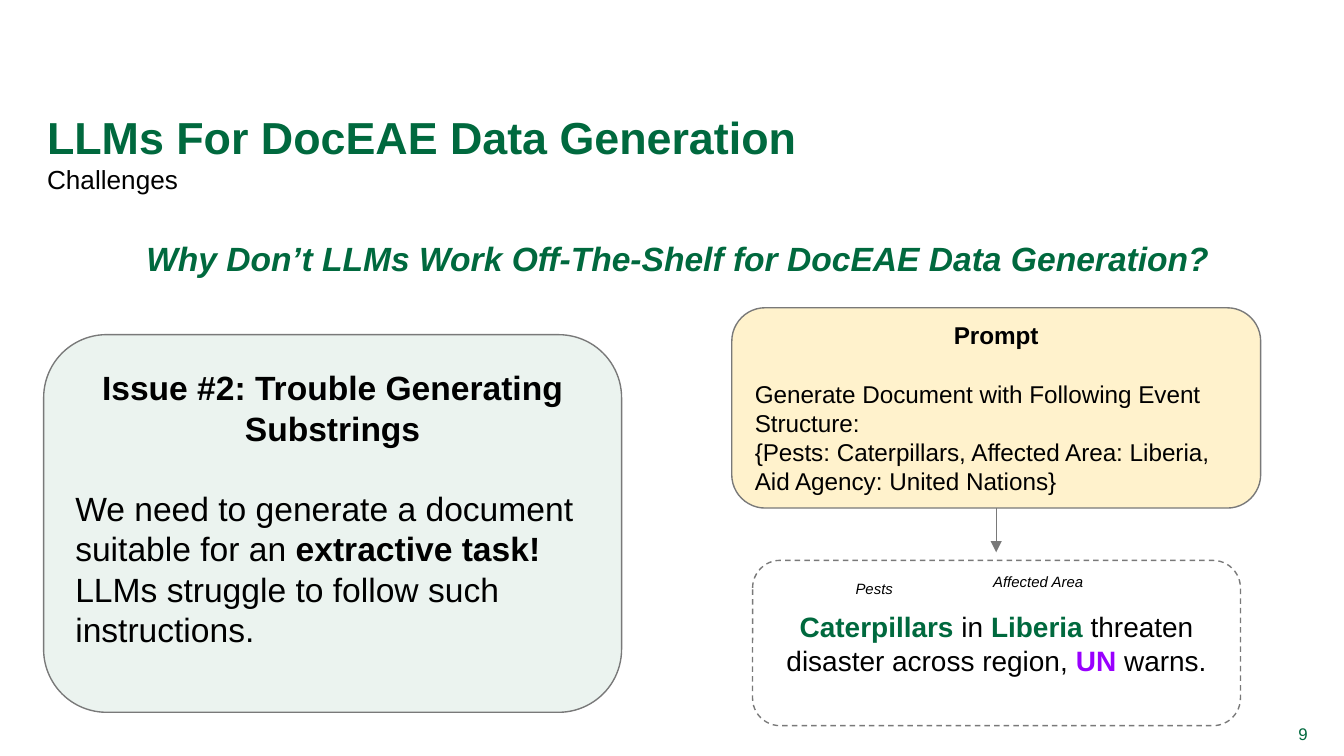
from dataclasses import dataclass

from lxml.etree import SubElement
from pptx import Presentation
from pptx.dml.color import RGBColor
from pptx.enum.dml import MSO_LINE
from pptx.enum.shapes import MSO_CONNECTOR, MSO_SHAPE
from pptx.enum.text import MSO_ANCHOR, MSO_AUTO_SIZE, PP_ALIGN
from pptx.oxml.ns import qn
from pptx.util import Emu, Pt

PX = 4572  # 200 px to the inch
LEFT, MID, RIGHT = PP_ALIGN.LEFT, PP_ALIGN.CENTER, PP_ALIGN.RIGHT


@dataclass(frozen=True)
class Theme:
    font: str = "Arial"
    green: str = "00693E"
    purple: str = "9900FF"
    ink: str = "000000"
    grey: str = "797979"
    white: str = "FFFFFF"
    mint: str = "EBF3EF"
    cream: str = "FFF2CC"
    title: int = 24
    head: int = 18
    reply: int = 15
    sub: int = 14
    prompt: int = 13
    page: int = 9
    label: int = 8
    line: float = 0.75


T = Theme()


def px(*nums):
    return [Emu(n * PX) for n in nums]


def run(text, color=T.ink, bold=False, italic=False):
    return text, color, bold, italic


def write(frame, paras, anchor=MSO_ANCHOR.MIDDLE, inset=20):
    """Fill a frame with paragraphs of (align, size, space before, runs)."""
    frame.word_wrap = True
    frame.auto_size = MSO_AUTO_SIZE.NONE
    frame.vertical_anchor = anchor
    frame.margin_left, frame.margin_top, frame.margin_right, frame.margin_bottom = px(*[inset] * 4)
    for i, (align, size, gap, runs) in enumerate(paras):
        para = frame.add_paragraph() if i else frame.paragraphs[0]
        para.alignment = align
        if gap:
            para.space_before = Pt(gap)
        for text, color, bold, italic in runs:
            part = para.add_run()
            part.text = text
            font = part.font
            font.name, font.size = T.font, Pt(size)
            font.bold, font.italic = bold, italic
            font.color.rgb = RGBColor.from_string(color)


def note(slide, box, para, **style):
    write(slide.shapes.add_textbox(*px(*box)).text_frame, [para], **style)


def card(slide, box, fill, paras, dash=None):
    shape = slide.shapes.add_shape(MSO_SHAPE.ROUNDED_RECTANGLE, *px(*box))
    shape.shadow.inherit = False
    shape.fill.solid()
    shape.fill.fore_color.rgb = RGBColor.from_string(fill)
    shape.line.color.rgb = RGBColor.from_string(T.grey)
    shape.line.width = Pt(T.line)
    if dash:
        shape.line.dash_style = dash
    write(shape.text_frame, paras)
    return shape


def header(slide, box):
    title = slide.shapes.title
    title.left, title.top, title.width, title.height = px(*box)
    write(title.text_frame, [
        (LEFT, T.title, 0, [run("LLMs For DocEAE Data Generation", T.green, True)]),
        (LEFT, T.sub, 0, [run("Challenges")]),
    ], anchor=MSO_ANCHOR.TOP)


def issue(slide, box):
    shape = card(slide, box, T.mint, [
        (MID, T.head, 0, [run("Issue #2: Trouble Generating Substrings", bold=True)]),
        (LEFT, T.head, 21.5, [
            run("We need to generate a document suitable for an "),
            run("extractive task!", bold=True),
            run(" LLMs struggle to follow such instructions."),
        ]),
    ])
    # A deeper bottom margin lifts the text above the middle
    shape.text_frame.margin_bottom = Emu(65 * PX)


def prompt(slide, box):
    return card(slide, box, T.cream, [
        (MID, T.prompt, 0, [run("Prompt", bold=True)]),
        (LEFT, T.prompt, 16, [run("Generate Document with Following Event Structure:")]),
        (LEFT, T.prompt, 0, [
            run("{Pests: Caterpillars, Affected Area: Liberia, Aid Agency: United Nations}"),
        ]),
    ])


def reply(slide, box):
    left, top, _, _ = box
    card(slide, box, T.white, [(MID, T.reply, 0, [
        run("Caterpillars", T.green, True), run(" in "),
        run("Liberia", T.green, True),
        run(" threaten disaster across region, "),
        run("UN ", T.purple, True), run("warns."),
    ])], MSO_LINE.DASH)
    # Role labels above the words they mark
    for text, x, y, wide in (("Pests", 122, 11, 118), ("Affected Area", 326, 0, 198)):
        note(slide, (left + x, top + y, wide, 62),
             (MID, T.label, 0, [run(text, italic=True)]))


def arrow(slide, start, drop):
    x = start.left + start.width // 2
    y = start.top + start.height
    link = slide.shapes.add_connector(MSO_CONNECTOR.STRAIGHT, x, y, x, y + drop * PX)
    link.begin_connect(start, 2)
    link.line.color.rgb = RGBColor.from_string(T.grey)
    link.line.width = Pt(T.line)
    SubElement(link.line._get_or_add_ln(), qn("a:tailEnd"), type="triangle")
    SubElement(link._element.spPr, qn("a:effectLst"))


def main():
    deck = Presentation()
    deck.slide_width, deck.slide_height = px(2000, 1125)
    slide = deck.slides.add_slide(deck.slide_layouts[5])

    header(slide, (50, 143, 1896, 152))
    reply(slide, (1120, 834, 726, 246))
    # Question
    note(slide, (142, 334, 1734, 124), (MID, T.head, 0, [
        run("Why Don’t LLMs Work Off-The-Shelf for DocEAE Data Generation?",
            T.green, True, True),
    ]), anchor=MSO_ANCHOR.TOP)
    issue(slide, (65, 498, 860, 562))
    arrow(slide, prompt(slide, (1089, 458, 787, 298)), 66)
    # Page number
    note(slide, (1860, 1074, 86, 36), (RIGHT, T.page, 0, [run("9", T.green)]), inset=0)

    deck.save("out.pptx")


if __name__ == "__main__":
    main()
